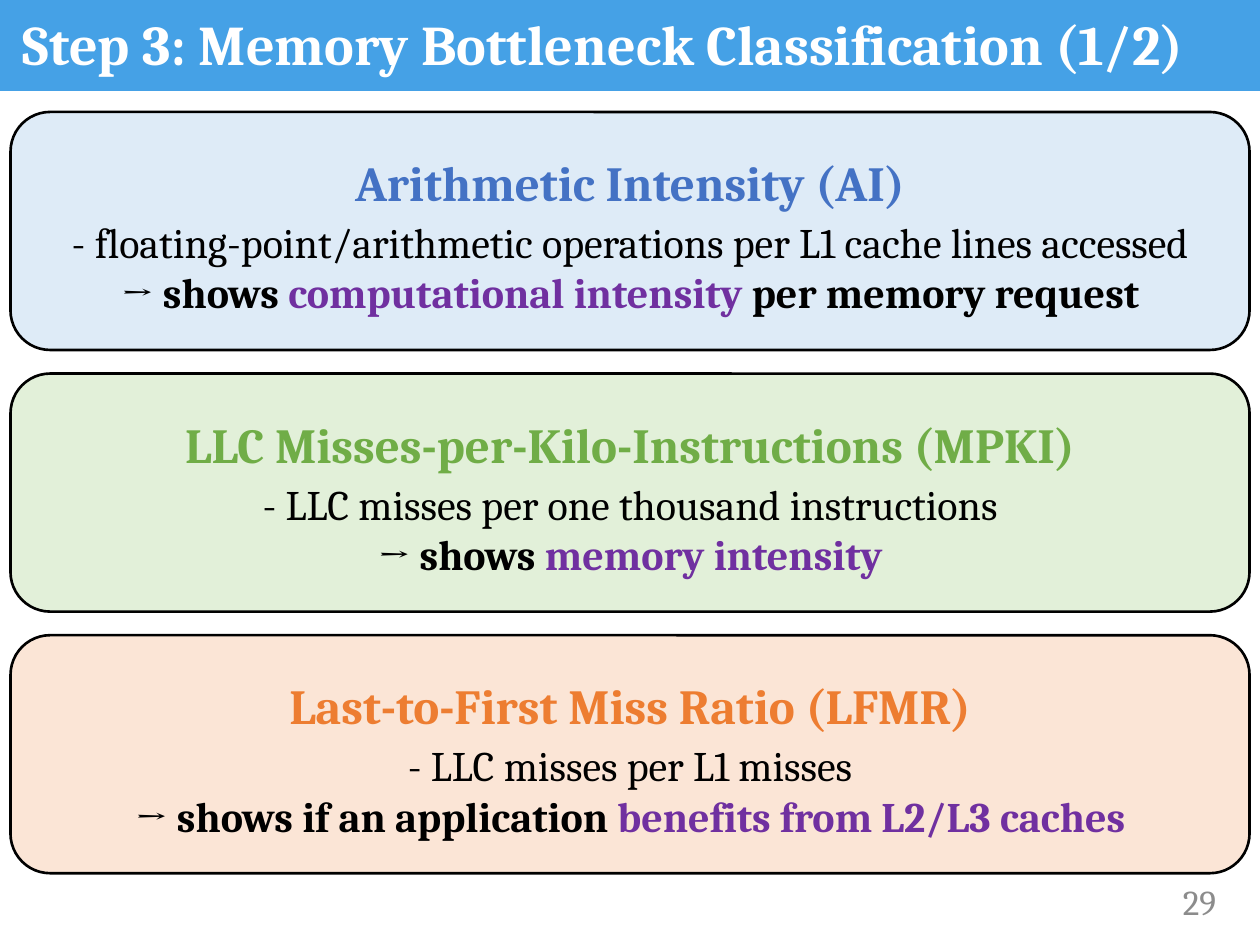
from pptx import Presentation
from pptx.dml.color import RGBColor
from pptx.enum import shapes, text
from pptx.util import Pt

FONT = "Cambria"
BLACK = RGBColor(0x00, 0x00, 0x00)
WHITE = RGBColor(0xFF, 0xFF, 0xFF)
GRAY = RGBColor(0x8C, 0x8C, 0x8C)
BANNER_BLUE = RGBColor(0x45, 0xA1, 0xE6)
PURPLE = RGBColor(0x70, 0x30, 0xA0)
BLUE, PALE_BLUE = RGBColor(0x44, 0x72, 0xC4), RGBColor(0xDE, 0xEB, 0xF7)
GREEN, PALE_GREEN = RGBColor(0x70, 0xAD, 0x47), RGBColor(0xE2, 0xF0, 0xD9)
ORANGE, PALE_ORANGE = RGBColor(0xED, 0x7D, 0x31), RGBColor(0xFB, 0xE5, 0xD6)

CARD_LEFT, CARD_TOP, CARD_WIDTH, CARD_HEIGHT = 6, 64, 708, 136
CARD_PITCH = 149.5

METRICS = [
    ("Arithmetic Intensity (AI)", BLUE, PALE_BLUE,
     "- floating-point/arithmetic operations per L1 cache lines accessed",
     [("→ shows ", BLACK), ("computational intensity ", PURPLE),
      ("per memory request", BLACK)]),
    ("LLC Misses-per-Kilo-Instructions (MPKI)", GREEN, PALE_GREEN,
     "- LLC misses per one thousand instructions",
     [("→ shows ", BLACK), ("memory intensity", PURPLE)]),
    ("Last-to-First Miss Ratio (LFMR)", ORANGE, PALE_ORANGE,
     "- LLC misses per L1 misses",
     [("→ shows if an application ", BLACK),
      ("benefits from L2/L3 caches", PURPLE)]),
]


def add_run(paragraph, words, size, color, bold=False):
    run = paragraph.add_run()
    run.text = words
    run.font.name = FONT
    run.font.size = Pt(size)
    run.font.bold = bold
    run.font.color.rgb = color


def add_box(slide, kind, box, fill):
    shape = slide.shapes.add_shape(kind, *map(Pt, box))
    shape.shadow.inherit = False
    shape.fill.solid()
    shape.fill.fore_color.rgb = fill
    return shape


def add_text_box(slide, box, anchor):
    frame = slide.shapes.add_textbox(*map(Pt, box)).text_frame
    frame.word_wrap = True
    frame.vertical_anchor = anchor
    return frame.paragraphs[0]


def add_header(slide, box, title):
    left, top, width, height = box
    banner = add_box(slide, shapes.MSO_SHAPE.RECTANGLE, box, BANNER_BLUE)
    banner.line.fill.background()
    title_box = (left + 6, top + 8, width - 12, height + 4)
    paragraph = add_text_box(slide, title_box, text.MSO_ANCHOR.TOP)
    paragraph.line_spacing = 0.9
    add_run(paragraph, title, 32, WHITE, True)


def add_metric_card(slide, box, heading, accent, fill, definition, meaning):
    card = add_box(slide, shapes.MSO_SHAPE.ROUNDED_RECTANGLE, box, fill)
    card.line.color.rgb = BLACK
    card.line.width = Pt(1.5)
    frame = card.text_frame
    frame.word_wrap = True
    frame.vertical_anchor = text.MSO_ANCHOR.MIDDLE
    frame.margin_top = Pt(8)
    lines = [
        (28, True, [(heading, accent)]),
        (24, False, [(definition, BLACK)]),
        (24, True, meaning),
    ]
    for index, (size, bold, runs) in enumerate(lines):
        paragraph = frame.add_paragraph() if index else frame.paragraphs[0]
        paragraph.alignment = text.PP_ALIGN.CENTER
        if index == 1:
            paragraph.space_before = Pt(3)
        for words, color in runs:
            add_run(paragraph, words, size, color, bold)


def add_page_number(slide, box, number):
    paragraph = add_text_box(slide, box, text.MSO_ANCHOR.MIDDLE)
    paragraph.alignment = text.PP_ALIGN.RIGHT
    add_run(paragraph, number, 20, GRAY)


def main():
    presentation = Presentation()
    presentation.slide_width = Pt(720)
    presentation.slide_height = Pt(540)
    slide = presentation.slides.add_slide(presentation.slide_layouts[6])
    add_header(slide, (0, -2, 720, 54),
               "Step 3: Memory Bottleneck Classification (1/2)")
    for index, metric in enumerate(METRICS):
        top = CARD_TOP + index * CARD_PITCH
        add_metric_card(slide, (CARD_LEFT, top, CARD_WIDTH, CARD_HEIGHT), *metric)
    add_page_number(slide, (624, 500.5, 78, 29), "29")
    presentation.save("out.pptx")


if __name__ == "__main__":
    main()
